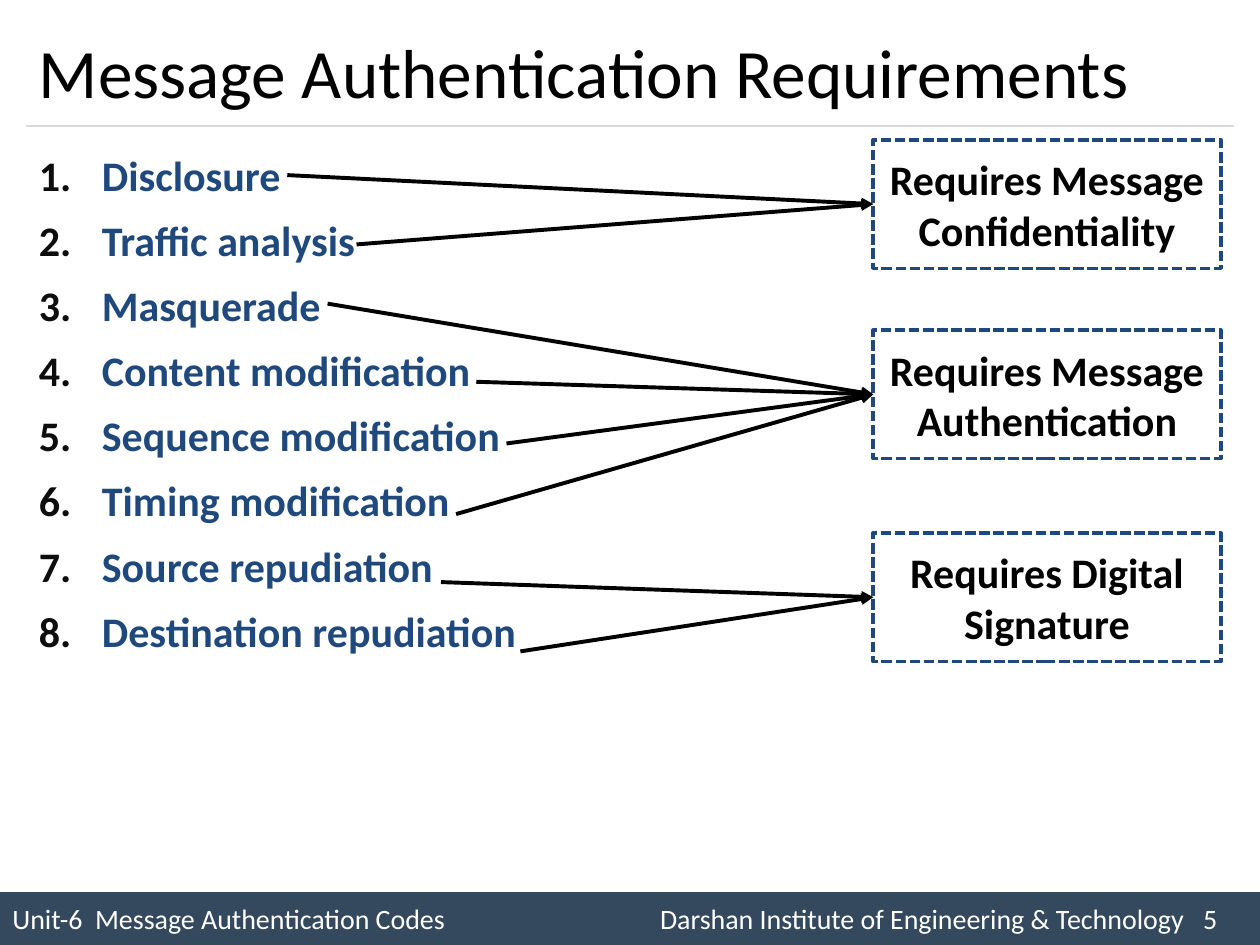
from typing import NamedTuple

from lxml import etree
from pptx import Presentation
from pptx.dml.color import RGBColor
from pptx.enum import dml, shapes, text
from pptx.oxml import ns
from pptx.util import Inches, Pt

FONT = "Calibri"
BLACK, WHITE, NAVY = "000000", "FFFFFF", "1F497D"
SLATE, RULE_GREY, NUMBER_GREY = "34495E", "D9D9D9", "0D0D0D"
BOX_LEFT, BOX_WIDTH, BOX_HEIGHT = 6.93, 2.76, 1.02


class Threat(NamedTuple):
    label: str
    arrow_x: float
    arrow_y: float


class Requirement(NamedTuple):
    label: str
    top: float
    threats: list[Threat]


REQUIREMENTS = [
    Requirement("Requires Message Confidentiality", 1.11, [
        Threat("Disclosure", 2.28, 1.39),
        Threat("Traffic analysis", 2.83, 1.94),
    ]),
    Requirement("Requires Message Authentication", 2.62, [
        Threat("Masquerade", 2.6, 2.41),
        Threat("Content modification", 3.78, 3.03),
        Threat("Sequence modification", 4.02, 3.52),
        Threat("Timing modification", 3.62, 4.08),
    ]),
    Requirement("Requires Digital Signature", 4.23, [
        Threat("Source repudiation", 3.5, 4.62),
        Threat("Destination repudiation", 4.13, 5.17),
    ]),
]


def rgb(value: str) -> RGBColor:
    return RGBColor.from_string(value)


def add_child(parent, tag: str, **attributes: str):
    return etree.SubElement(parent, ns.qn(tag), attributes)


def add_run(paragraph, words: str, size: float, color: str, bold: bool = False) -> None:
    run = paragraph.add_run()
    run.text = words
    run.font.name = FONT
    run.font.size = Pt(size)
    run.font.bold = bold
    run.font.color.rgb = rgb(color)


def add_text_area(slide, left: float, top: float, width: float, height: float, anchor):
    area = slide.shapes.add_textbox(Inches(left), Inches(top), Inches(width), Inches(height))
    area.text_frame.word_wrap = True
    area.text_frame.vertical_anchor = anchor
    return area.text_frame


def add_rectangle(slide, left: float, top: float, width: float, height: float, fill: str):
    rectangle = slide.shapes.add_shape(
        shapes.MSO_SHAPE.RECTANGLE, Inches(left), Inches(top), Inches(width), Inches(height))
    rectangle.shadow.inherit = False
    rectangle.fill.solid()
    rectangle.fill.fore_color.rgb = rgb(fill)
    rectangle.text_frame.word_wrap = True
    rectangle.text_frame.vertical_anchor = text.MSO_ANCHOR.MIDDLE
    return rectangle


def add_line(slide, start: tuple[float, float], end: tuple[float, float],
             color: str, weight: float, arrow: bool = False) -> None:
    line = slide.shapes.add_connector(
        shapes.MSO_CONNECTOR.STRAIGHT, *map(Inches, start + end))
    line.line.color.rgb = rgb(color)
    line.line.width = Pt(weight)
    if arrow:
        add_child(line.line._get_or_add_ln(), "a:tailEnd", type="triangle")
    add_child(line._element.spPr, "a:effectLst")


def number_paragraph(paragraph) -> None:
    """Give the paragraph a hanging automatic number."""
    properties = paragraph._p.get_or_add_pPr()
    properties.set("marL", str(Inches(0.5)))
    properties.set("indent", str(Inches(-0.5)))
    number_color = add_child(properties, "a:buClr")
    add_child(number_color, "a:srgbClr", val=NUMBER_GREY)
    add_child(properties, "a:buFont", typeface="+mj-lt")
    add_child(properties, "a:buAutoNum", type="arabicPeriod")


def add_heading(slide) -> None:
    heading = add_text_area(slide, 0.21, 0.12, 9.58, 0.88, text.MSO_ANCHOR.MIDDLE)
    add_run(heading.paragraphs[0], "Message Authentication Requirements", 39.6, BLACK)
    add_line(slide, (0.21, 1), (9.79, 1), RULE_GREY, 0.75)


def add_threat_list(slide) -> None:
    frame = add_text_area(slide, 0.21, 1.08, 9.58, 5.83, text.MSO_ANCHOR.TOP)
    threats = [threat for requirement in REQUIREMENTS for threat in requirement.threats]
    for index, threat in enumerate(threats):
        paragraph = frame.add_paragraph() if index else frame.paragraphs[0]
        number_paragraph(paragraph)
        paragraph.alignment = text.PP_ALIGN.JUSTIFY
        paragraph.line_spacing = 1.14
        paragraph.space_before = Pt(4.4 if index else 0)
        add_run(paragraph, threat.label, 24, NAVY, bold=True)


def add_requirement(slide, requirement: Requirement) -> None:
    """Draw the dashed box and the arrows from its threats."""
    box = add_rectangle(slide, BOX_LEFT, requirement.top, BOX_WIDTH, BOX_HEIGHT, WHITE)
    box.line.color.rgb = rgb(NAVY)
    box.line.width = Pt(2)
    box.line.dash_style = dml.MSO_LINE.SQUARE_DOT
    paragraph = box.text_frame.paragraphs[0]
    paragraph.alignment = text.PP_ALIGN.CENTER
    add_run(paragraph, requirement.label, 24, BLACK, bold=True)
    target = (BOX_LEFT, requirement.top + BOX_HEIGHT / 2)
    for threat in requirement.threats:
        add_line(slide, (threat.arrow_x, threat.arrow_y), target, BLACK, 2.25, arrow=True)


def add_footer(slide) -> None:
    bar = add_rectangle(slide, 0, 7.08, 10, 0.42, SLATE)
    bar.line.fill.background()
    paragraph = bar.text_frame.paragraphs[0]
    tabs = add_child(paragraph._p.get_or_add_pPr(), "a:tabLst")
    for position in (5.14, 9.45):
        add_child(tabs, "a:tab", pos=str(Inches(position)), algn="l")
    paragraph.alignment = text.PP_ALIGN.LEFT
    for words in ("Unit-6  Message Authentication Codes",
                  "\tDarshan Institute of Engineering & Technology", "\t5"):
        add_run(paragraph, words, 16, WHITE)


def main() -> None:
    deck = Presentation()
    deck.slide_width, deck.slide_height = Inches(10), Inches(7.5)
    slide = deck.slides.add_slide(deck.slide_layouts[6])
    add_footer(slide)
    add_heading(slide)
    add_threat_list(slide)
    for requirement in REQUIREMENTS:
        add_requirement(slide, requirement)
    deck.save("out.pptx")


if __name__ == "__main__":
    main()
